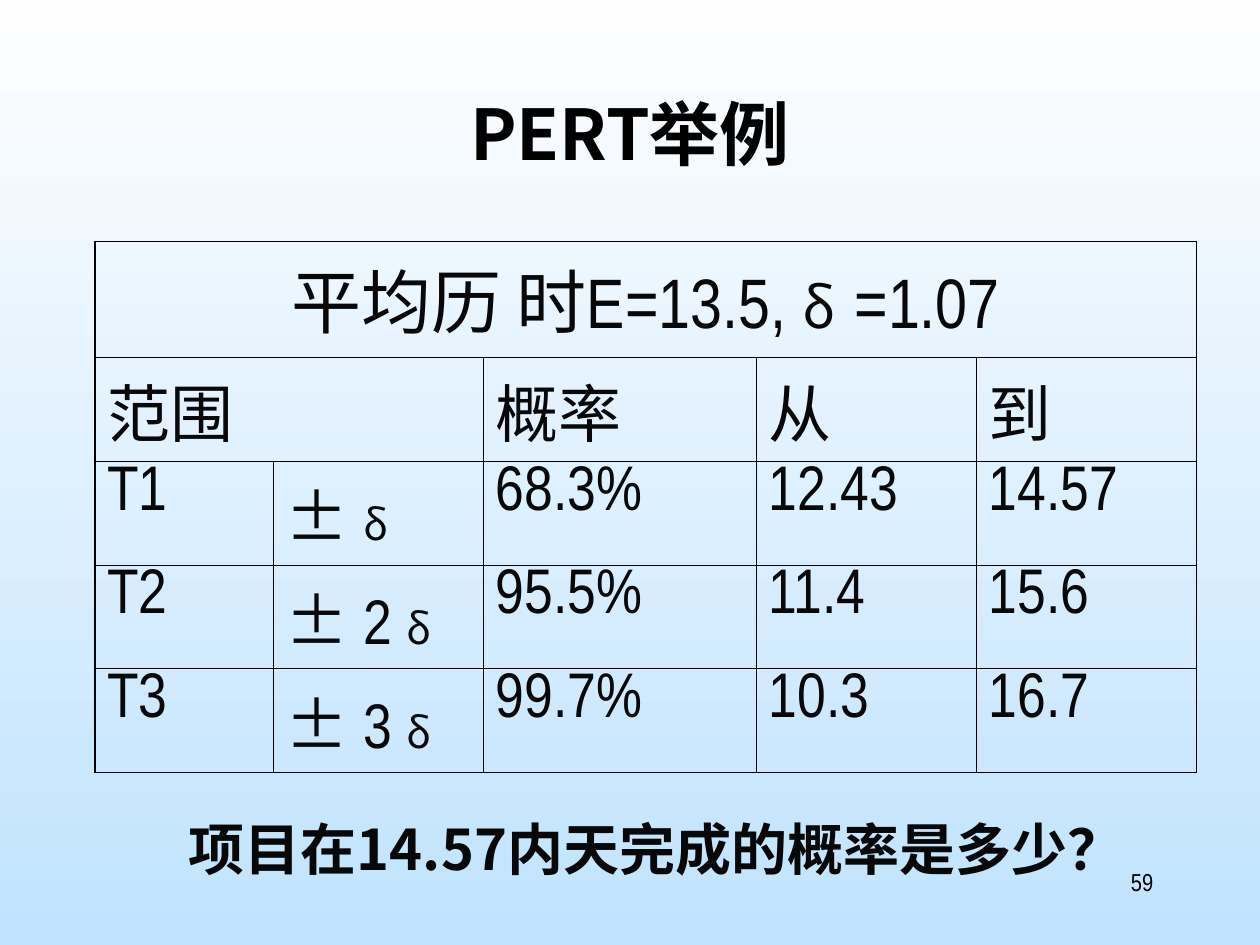
from dataclasses import dataclass

from lxml import etree
from pptx import Presentation
from pptx import util as u
from pptx.dml.color import RGBColor
from pptx.enum import text as t
from pptx.oxml.ns import qn


@dataclass(frozen=True)
class Theme:
    sans: str = "Noto Sans CJK SC"
    slim: str = "Arial Narrow"
    black: str = "000000"
    ink: str = "080808"
    sky: tuple = ("FEFEFE", "C0E3FE")
    title: int = 40
    ask: int = 32
    body: int = 36
    delta: int = 24
    gap: int = 48
    note: int = 14
    rim: float = 1.08
    rule: float = 0.45


THEME = Theme()
LEFT, MID, RIGHT = t.PP_ALIGN.LEFT, t.PP_ALIGN.CENTER, t.PP_ALIGN.RIGHT


def write(frame, runs, size=THEME.body, font=THEME.slim, color=THEME.ink,
          bold=False, align=LEFT, line=1.0):
    """Fill one paragraph; each run is (words, size or None, font or None)."""
    para = frame.paragraphs[0]
    para.alignment = align
    para.line_spacing = line
    if isinstance(runs, str):
        runs = [(runs, None, None)]
    for words, own, face in runs:
        run = para.add_run()
        run.text = words
        run.font.size = u.Pt(own or size)
        run.font.bold = bold
        run.font.color.rgb = RGBColor.from_string(color)
        run.font.name = face or font
        east = etree.SubElement(run.font._element, qn("a:ea"))
        east.set("typeface", THEME.sans)


class Deck:
    def __init__(self, theme):
        self.theme = theme
        self.prs = Presentation()
        self.prs.slide_width, self.prs.slide_height = u.Cm(25.4), u.Cm(19.05)
        self.slide = self.prs.slides.add_slide(self.prs.slide_layouts[6])

    def sky(self):
        fill = self.slide.background.fill
        fill.gradient()
        fill.gradient_angle = 270
        for place, (stop, tone) in enumerate(zip(fill.gradient_stops, self.theme.sky)):
            stop.color.rgb = RGBColor.from_string(tone)
            stop.position = place

    def label(self, words, x, y, w, h, **style):
        box = self.slide.shapes.add_textbox(u.Cm(x), u.Cm(y), u.Cm(w), u.Cm(h))
        box.text_frame.word_wrap = True
        write(box.text_frame, words, **style)

    def edge(self, cell, side, width):
        props = cell._tc.get_or_add_tcPr()
        line = etree.SubElement(props, qn(f"a:ln{side}"), w=str(u.Pt(width)))
        fill = etree.SubElement(line, qn("a:solidFill"))
        etree.SubElement(fill, qn("a:srgbClr"), val=self.theme.black)

    def grid(self, x, y, cols, rows, spans):
        """Add an unfilled table with a heavier outer rim."""
        frame = self.slide.shapes.add_table(len(rows), len(cols), u.Cm(x), u.Cm(y),
                                            u.Cm(sum(cols)), u.Cm(sum(rows)))
        table = frame.table
        table.first_row = table.horz_banding = False
        for col, width in zip(table.columns, cols):
            col.width = u.Cm(width)
        for row, height in zip(table.rows, rows):
            row.height = u.Cm(height)
        for row, count in spans.items():
            table.cell(row, 0).merge(table.cell(row, count - 1))
        for r in range(len(rows)):
            for c in range(len(cols)):
                cell = table.cell(r, c)
                last = c + (cell.span_width if cell.is_merge_origin else 1)
                rims = {"L": c == 0, "R": last == len(cols),
                        "T": r == 0, "B": r == len(rows) - 1}
                for side, rim in rims.items():
                    if cell.is_spanned and side in "LR" and not rim:
                        continue
                    self.edge(cell, side, self.theme.rim if rim else self.theme.rule)
                cell.fill.background()
        return table


def main():
    deck = Deck(THEME)
    deck.sky()
    deck.label("PERT举例", 1.9, 1.7, 21.6, 3.18, size=THEME.title, font=THEME.sans,
               color=THEME.black, bold=True, align=MID)

    table = deck.grid(1.91, 4.87, [3.6, 4.23, 5.5, 4.44, 4.44],
                      [2.34] + [2.09] * 4, {0: 5, 1: 2})
    write(table.cell(0, 0).text_frame,
          [("平均历 时E=13.5, ", None, None), ("δ", THEME.ask, THEME.sans),
           (" ", THEME.gap, None), ("=1.07", None, None)],
          size=THEME.title, align=MID)
    for col, head in {0: "范围", 2: "概率", 3: "从", 4: "到"}.items():
        write(table.cell(1, col).text_frame, head)

    delta = ("δ", THEME.delta, THEME.sans)
    data = [
        ("T1", [("± ", None, THEME.sans), delta], "68.3%", "12.43", "14.57"),
        ("T2", [("±", None, THEME.sans), (" 2 ", None, None), delta],
         "95.5%", "11.4", "15.6"),
        ("T3", [("±", None, THEME.sans), (" 3 ", None, None), delta],
         "99.7%", "10.3", "16.7"),
    ]
    for r, row in enumerate(data, 2):
        for c, words in enumerate(row):
            write(table.cell(r, c).text_frame, words, line=1.0 if c == 1 else 0.9)

    deck.label("项目在14.57内天完成的概率是多少？", 2.33, 16.3, 21.8, 1.63,
               size=THEME.ask, font=THEME.sans, bold=True, align=MID)
    deck.label("59", 18.2, 17.35, 5.3, 1.27, size=THEME.note,
               color=THEME.black, align=RIGHT)
    deck.prs.save("out.pptx")


if __name__ == "__main__":
    main()
